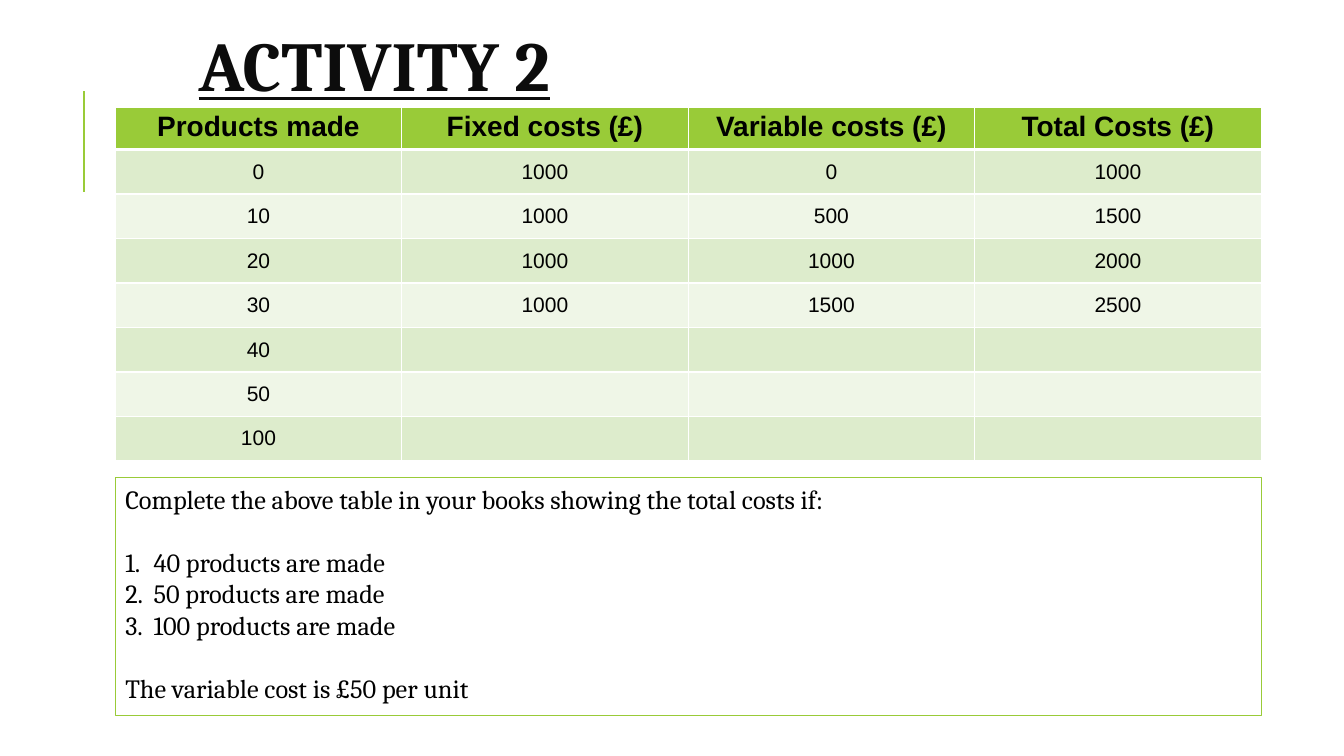
import pptx
import pptx.util
import pptx.dml.color
import pptx.enum.shapes
import pptx.enum.text
import pptx.oxml
import pptx.oxml.ns
import lxml.etree

Pt = pptx.util.Pt
qn = pptx.oxml.ns.qn
ALIGN = pptx.enum.text.PP_ALIGN
ANCHOR = pptx.enum.text.MSO_ANCHOR

HEADING = "ACTIVITY 2"
COSTS = [
    ("Products made", "Fixed costs (£)", "Variable costs (£)", "Total Costs (£)"),
    ("0", "1000", "0", "1000"),
    ("10", "1000", "500", "1500"),
    ("20", "1000", "1000", "2000"),
    ("30", "1000", "1500", "2500"),
    ("40", "", "", ""),
    ("50", "", "", ""),
    ("100", "", "", ""),
]
TASK = [
    ("Complete the above table in your books showing the total costs if:", False, 0),
    ("40 products are made", True, 22.4),
    ("50 products are made", True, 0),
    ("100 products are made", True, 0),
    ("The variable cost is £50 per unit", False, 22.4),
]
COLORS = {
    "green": "99CB38",
    "odd_row": "DDECCC",
    "even_row": "EFF6E7",
    "white": "FFFFFF",
    "heading": "0C0C0C",
    "black": "000000",
}
LEFT, WIDTH = 82.3, 818.6
HEADER_HEIGHT, ROW_HEIGHT = 30.2, 31.8


def rgb(name):
    return pptx.dml.color.RGBColor.from_string(COLORS[name])


def place(shape, left, top, width, height):
    shape.left, shape.top = Pt(left), Pt(top)
    shape.width, shape.height = Pt(width), Pt(height)


def add_run(paragraph, text, size, font, color, bold=False):
    run = paragraph.add_run()
    run.text = text
    run.font.size, run.font.name, run.font.bold = Pt(size), font, bold
    run.font.color.rgb = rgb(color)
    return run


def add_solid(parent, color):
    solid = lxml.etree.SubElement(parent, qn("a:solidFill"))
    lxml.etree.SubElement(solid, qn("a:srgbClr"), val=COLORS[color])


def set_borders(cell, widths):
    properties = cell._tc.get_or_add_tcPr()
    for side, width in widths.items():
        border = lxml.etree.SubElement(properties, qn("a:ln" + side), w=str(Pt(width)))
        add_solid(border, "white")


def set_numbering(paragraph, numbered):
    properties = paragraph._p.get_or_add_pPr()
    indent = Pt(20.2) if numbered else 0
    properties.set("marL", str(indent))
    properties.set("indent", str(-indent))
    if numbered:
        color = lxml.etree.SubElement(properties, qn("a:buClr"))
        lxml.etree.SubElement(color, qn("a:srgbClr"), val=COLORS["black"])
        lxml.etree.SubElement(properties, qn("a:buFont"), typeface="+mj-lt")
        lxml.etree.SubElement(properties, qn("a:buAutoNum"), type="arabicPeriod")
    else:
        lxml.etree.SubElement(properties, qn("a:buNone"))


def add_heading(slide):
    heading = slide.shapes.title
    place(heading, 134.6, 12.2, 507.6, 77.8)
    heading.text_frame.auto_size = pptx.enum.text.MSO_AUTO_SIZE.NONE
    heading.text_frame.vertical_anchor = ANCHOR.MIDDLE
    paragraph = heading.text_frame.paragraphs[0]
    paragraph.alignment, paragraph.line_spacing = ALIGN.LEFT, 0.8
    add_run(paragraph, HEADING, 50, "Cambria", "heading", True).font.underline = True


def add_accent(slide):
    accent = slide.shapes.add_connector(
        pptx.enum.shapes.MSO_CONNECTOR.STRAIGHT, Pt(60), Pt(136.8), Pt(60), Pt(64.8))
    accent.line.color.rgb, accent.line.width = rgb("green"), Pt(1.5)
    lxml.etree.SubElement(accent._element.spPr, qn("a:effectLst"))


def add_costs(slide):
    height = HEADER_HEIGHT + ROW_HEIGHT * (len(COSTS) - 1)
    costs = slide.shapes.add_table(
        len(COSTS), len(COSTS[0]), Pt(LEFT), Pt(76.6), Pt(WIDTH), Pt(height)).table
    for column in costs.columns:
        column.width = Pt(WIDTH / len(COSTS[0]))
    for r, values in enumerate(COSTS):
        header = r == 0
        costs.rows[r].height = Pt(HEADER_HEIGHT if header else ROW_HEIGHT)
        fill = "green" if header else "odd_row" if r % 2 else "even_row"
        for c, value in enumerate(values):
            cell = costs.cell(r, c)
            cell.margin_left = cell.margin_right = Pt(5)
            cell.margin_top = cell.margin_bottom = Pt(2.9)
            cell.vertical_anchor = ANCHOR.TOP if header else ANCHOR.MIDDLE
            set_borders(cell, {"L": 1, "R": 1, "T": 3 if r == 1 else 1, "B": 3 if header else 1})
            cell.fill.solid()
            cell.fill.fore_color.rgb = rgb(fill)
            paragraph = cell.text_frame.paragraphs[0]
            paragraph.alignment = ALIGN.CENTER
            if value:
                add_run(paragraph, value, 20 if header else 15, "Arial", "black", header)


def add_task(slide):
    task = slide.placeholders[1]
    place(task, LEFT, 341.3, WIDTH, 169.9)
    task.line.color.rgb, task.line.width = rgb("green"), Pt(0.75)
    frame = task.text_frame
    frame.auto_size = pptx.enum.text.MSO_AUTO_SIZE.NONE
    frame.vertical_anchor = ANCHOR.TOP
    for i, (text, numbered, gap) in enumerate(TASK):
        paragraph = frame.add_paragraph() if i else frame.paragraphs[0]
        set_numbering(paragraph, numbered)
        paragraph.space_before = Pt(gap)
        add_run(paragraph, text, 18.8, "Cambria", "black")


def main():
    deck = pptx.Presentation()
    deck.slide_width, deck.slide_height = Pt(960), Pt(540)
    slide = deck.slides.add_slide(deck.slide_layouts[1])
    add_heading(slide)
    add_accent(slide)
    add_costs(slide)
    add_task(slide)
    deck.save("out.pptx")


if __name__ == "__main__":
    main()
